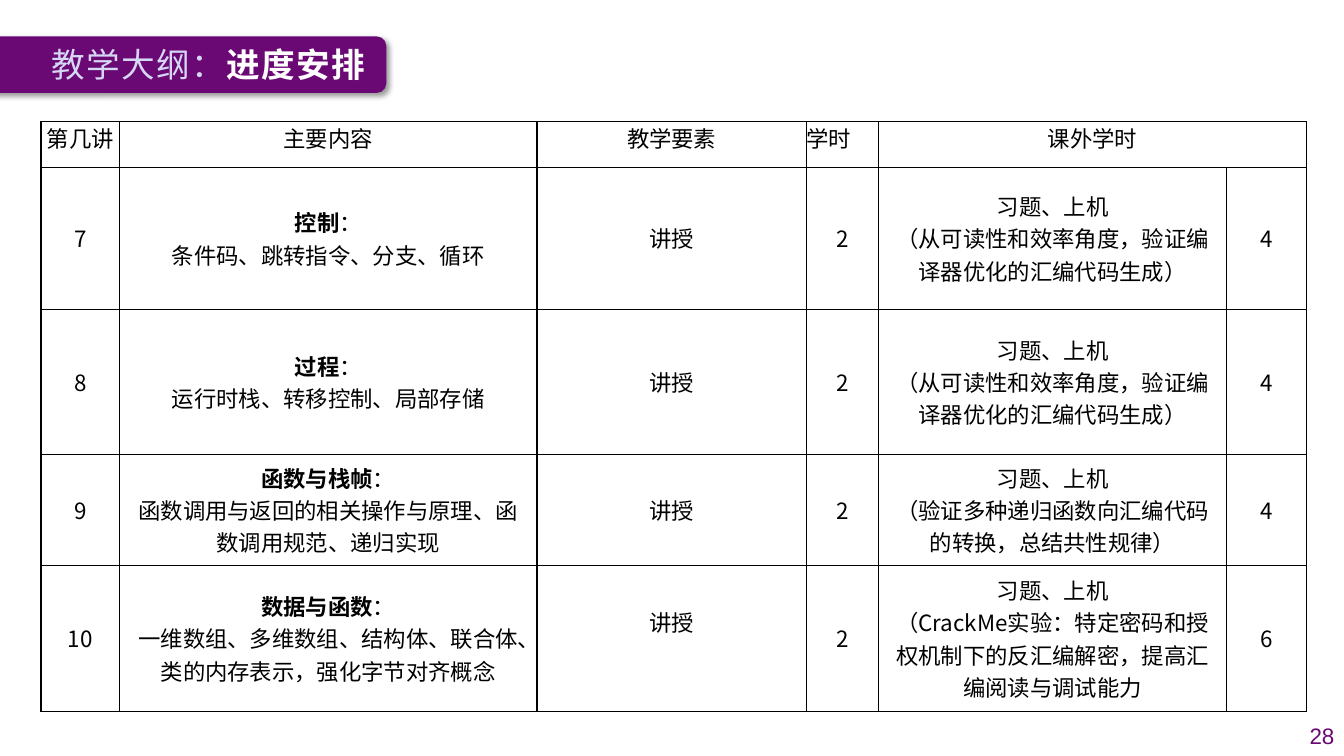
"""Build the course schedule slide."""
import dataclasses

import lxml.etree
import pptx
import pptx.dml.color
import pptx.enum.shapes
import pptx.enum.text
import pptx.oxml.ns
import pptx.util

Pt = pptx.util.Pt
Align = pptx.enum.text.PP_ALIGN
Anchor = pptx.enum.text.MSO_ANCHOR
qn = pptx.oxml.ns.qn


@dataclasses.dataclass(frozen=True)
class Theme:
    """Colours, fonts and type sizes of the slide."""
    purple: str = "6A0874"
    lavender: str = "D6D6F5"
    white: str = "FFFFFF"
    black: str = "000000"
    font: str = "Noto Sans CJK SC"
    number_font: str = "Arial"
    title_size: float = 24
    body_size: float = 16


THEME = Theme()
COLUMN_WIDTHS = [56.1, 298.2, 192.5, 51.4, 248.9, 57.1]
ROW_HEIGHTS = [32.5, 101.4, 103.6, 79.3, 104.3]
HEADERS = ["第几讲", "主要内容", "教学要素", "学时", "课外学时"]
OPTIMISATION = "（从可读性和效率角度，验证编译器优化的汇编代码生成）"
LECTURES = [
    ("7", "控制", "条件码、跳转指令、分支、循环", OPTIMISATION, "4"),
    ("8", "过程", "运行时栈、转移控制、局部存储", OPTIMISATION, "4"),
    ("9", "函数与栈帧", "函数调用与返回的相关操作与原理、函数调用规范、递归实现",
     "（验证多种递归函数向汇编代码的转换，总结共性规律）", "4"),
    ("10", "数据与函数", "一维数组、多维数组、结构体、联合体、类的内存表示，强化字节对齐概念",
     "（CrackMe实验：特定密码和授权机制下的反汇编解密，提高汇编阅读与调试能力", "6"),
]


def rgb(color):
    """Return the colour object of a hex string."""
    return pptx.dml.color.RGBColor.from_string(color)


def add_text(paragraph, text, *, size=THEME.body_size, color=THEME.black,
             font=THEME.font, bold=False, spacing=0, align=Align.CENTER):
    """Add one formatted run to a paragraph."""
    paragraph.alignment = align
    run = paragraph.add_run()
    run.text = text
    run.font.size = Pt(size)
    run.font.bold = bold
    run.font.name = font
    run.font.color.rgb = rgb(color)
    properties = run.font._element
    if spacing:
        properties.set("spc", str(spacing * 100))
    properties.find(qn("a:latin")).addnext(
        properties.makeelement(qn("a:ea"), {"typeface": font}))


def place(shape, left, top, width, height):
    """Move and size a shape in points."""
    shape.left, shape.top = Pt(left), Pt(top)
    shape.width, shape.height = Pt(width), Pt(height)


def add_shadow(shape):
    """Give a shape a soft shadow to the lower right."""
    shape.shadow.inherit = False
    effects = shape._element.spPr.find(qn("a:effectLst"))
    shadow = lxml.etree.SubElement(
        effects, qn("a:outerShdw"), blurRad=str(Pt(4)), dist=str(Pt(3)),
        dir="2700000", algn="tl", rotWithShape="0")
    color = lxml.etree.SubElement(shadow, qn("a:srgbClr"), val=THEME.black)
    lxml.etree.SubElement(color, qn("a:alpha"), val="40000")


def add_title(slide):
    """Fill the title placeholder and lay the purple band behind it."""
    title = slide.shapes.title
    band = slide.shapes.add_shape(
        pptx.enum.shapes.MSO_SHAPE.ROUNDED_RECTANGLE, Pt(-56), Pt(26), Pt(332), Pt(40.4))
    band.adjustments[0] = 0.17
    band.fill.solid()
    band.fill.fore_color.rgb = rgb(THEME.purple)
    band.line.fill.background()
    add_shadow(band)
    title._element.addprevious(band._element)

    place(title, 29.5, 26, 247, 39.6)
    frame = title.text_frame
    frame.auto_size = pptx.enum.text.MSO_AUTO_SIZE.NONE
    frame.vertical_anchor = Anchor.MIDDLE
    frame.word_wrap = False
    style = {"size": THEME.title_size, "spacing": 1, "align": Align.LEFT}
    add_text(frame.paragraphs[0], "教学大纲：", color=THEME.lavender, **style)
    add_text(frame.paragraphs[0], "进度安排", color=THEME.white, bold=True, **style)


def add_page_number(slide, number):
    """Write the page number in the lower right corner."""
    box = slide.shapes.add_textbox(Pt(921), Pt(511.2), Pt(39.2), Pt(28.8))
    box.text_frame.word_wrap = True
    box.text_frame.vertical_anchor = Anchor.MIDDLE
    add_text(box.text_frame.paragraphs[0], number, color=THEME.purple,
             font=THEME.number_font, align=Align.RIGHT)


def format_cell(cell, side_margin=0, anchor=Anchor.TOP):
    """Set black borders, no fill, margins and anchor of a cell."""
    properties = cell._tc.get_or_add_tcPr()
    for side in ("lnL", "lnR", "lnT", "lnB"):
        line = lxml.etree.SubElement(properties, qn(f"a:{side}"), w=str(Pt(1)))
        fill = lxml.etree.SubElement(line, qn("a:solidFill"))
        lxml.etree.SubElement(fill, qn("a:srgbClr"), val=THEME.black)
    cell.fill.background()
    cell.margin_left = cell.margin_right = Pt(side_margin)
    cell.margin_top = cell.margin_bottom = Pt(0)
    cell.vertical_anchor = anchor


def fill_cell(cell, *lines, heading=None):
    """Write centred lines below an optional bold heading."""
    frame = cell.text_frame
    paragraph = frame.paragraphs[0]
    if heading:
        add_text(paragraph, heading, bold=True)
        lines = ("：", *lines)
    for index, line in enumerate(lines):
        add_text(frame.add_paragraph() if index else paragraph, line)


def add_schedule(slide):
    """Add the table of lectures."""
    table = slide.shapes.add_table(
        len(ROW_HEIGHTS), len(COLUMN_WIDTHS), Pt(29.3), Pt(87),
        Pt(sum(COLUMN_WIDTHS)), Pt(sum(ROW_HEIGHTS))).table
    table.first_row = table.horz_banding = False
    for column, width in zip(table.columns, COLUMN_WIDTHS):
        column.width = Pt(width)
    for row, height in zip(table.rows, ROW_HEIGHTS):
        row.height = Pt(height)

    header_cells = list(table.rows[0].cells)
    for cell in header_cells:
        format_cell(cell)
    header_cells[4].merge(header_cells[5])
    for cell, header in zip(header_cells, HEADERS):
        fill_cell(cell, header)
    header_cells[3].text_frame.paragraphs[0].alignment = Align.LEFT

    for row_index, lecture in enumerate(LECTURES, start=1):
        number, topic, details, exercise, hours = lecture
        cells = list(table.rows[row_index].cells)
        for cell in cells:
            format_cell(cell, 6.5, Anchor.MIDDLE)
        fill_cell(cells[0], number)
        fill_cell(cells[1], details, heading=topic)
        fill_cell(cells[2], "讲授")
        fill_cell(cells[3], "2")
        fill_cell(cells[4], "习题、上机", exercise)
        fill_cell(cells[5], hours)
    table.cell(len(LECTURES), 2).margin_bottom = Pt(23)


def main():
    """Build and save the presentation."""
    presentation = pptx.Presentation()
    presentation.slide_width, presentation.slide_height = Pt(960), Pt(540)
    slide = presentation.slides.add_slide(presentation.slide_layouts[5])
    add_title(slide)
    add_schedule(slide)
    add_page_number(slide, "28")
    presentation.save("out.pptx")


if __name__ == "__main__":
    main()
